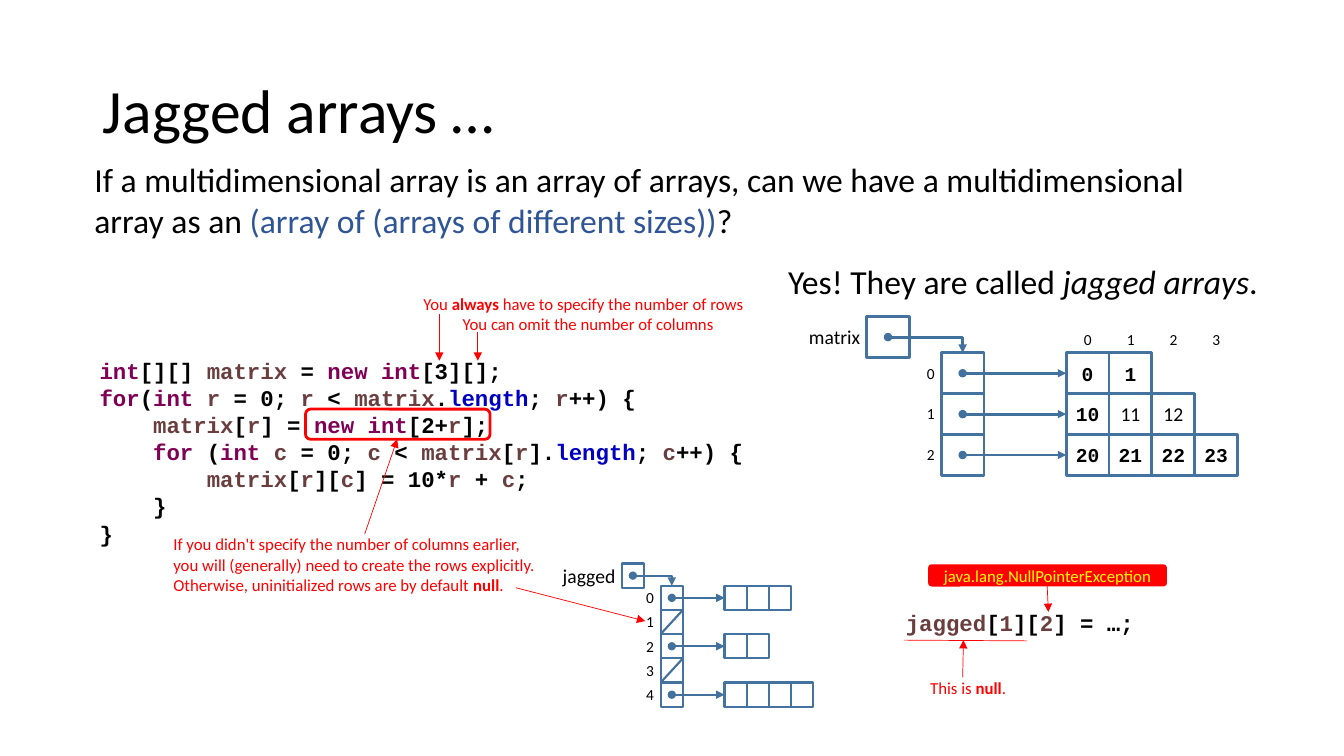
from itertools import groupby

from lxml.etree import SubElement
from pptx import Presentation
from pptx.dml.color import RGBColor
from pptx.enum.shapes import MSO_CONNECTOR, MSO_SHAPE
from pptx.enum.text import MSO_ANCHOR, PP_ALIGN
from pptx.oxml.ns import qn
from pptx.util import Cm, Pt

BLACK, RED, YELLOW, BLUE = "000000", "FF0000", "FFFF00", "2F5597"
CELL_LINE, ARROW_LINE = "43739E", "41719C"
KEYWORD, VARIABLE, FIELD = "7F0055", "6A3E3E", "0000C0"
SANS, MONO = "Calibri", "Courier New"

# Content: every paragraph is a list of (text, style) spans
TITLE = "Jagged arrays …"
QUESTION = [[
    ("If a multidimensional array is an array of arrays, can we have a "
     "multidimensional array as an ", {}),
    ("(array of (arrays of different sizes))", {"colour": BLUE}),
    ("?", {}),
]]
ANSWER = [[("Yes! They are called ", {}), ("jagged arrays", {"italic": True}), (".", {})]]

WORD_COLOURS = {
    "int": KEYWORD, "new": KEYWORD, "for": KEYWORD, "length": FIELD,
    "matrix": VARIABLE, "jagged": VARIABLE, "r": VARIABLE, "c": VARIABLE,
}
INDEX_COLOURS = {"1": VARIABLE, "2": VARIABLE}
LOOP_CODE = """int[][] matrix = new int[3][];
for(int r = 0; r < matrix.length; r++) {
    matrix[r] = new int[2+r];
    for (int c = 0; c < matrix[r].length; c++) {
        matrix[r][c] = 10*r + c;
    }
}"""
ACCESS_CODE = "jagged[1][2] = …;"

BOLD = {"bold": True}
NOTES = [  # left, top, width, height, paragraphs
    (10.67, 7.39, 8.69, 0.51,
     [[("You ", {}), ("always", BOLD), (" have to specify the number of rows", {})]]),
    (11.66, 7.9, 6.63, 0.51, [[("You can omit the number of columns", {})]]),
    (4.37, 13.46, 9.7, 1.55, [
        [("If you didn't specify the number of columns earlier,", {})],
        [("you will (generally) need to create the rows explicitly.", {})],
        [("Otherwise, uninitialized rows are by default ", {}), ("null", BOLD), (".", {})],
    ]),
    (23.44, 17.07, 2.11, 0.51, [[("This is ", {}), ("null", BOLD), (".", {})]]),
]
NOTE_ARROWS = [
    (12.04, 8.36, 12.04, 9.09), (11.07, 7.9, 11.07, 9.09),
    (9.19, 13.46, 10.01, 11.07), (13, 14.81, 16.26, 15.65),
    (24.26, 17.07, 24.28, 16.13), (26.39, 14.76, 26.42, 15.42),
]
UNDERLINE = (25.88, 16.15, 22.78, 16.13)
EXCEPTION = "java.lang.NullPointerException"

# Array drawings: a row is a list of cell values, None is a null row
ARRAYS = [
    {"name": "matrix", "pointer": (21.84, 7.98), "column": (23.72, 8.89),
     "rows_left": 26.87, "cell": (1.08, 1.03), "weight": 2, "column_indices": 4,
     "rows": [["0", "1"], ["10", "11", "12"], ["20", "21", "22", "23"]]},
    {"name": "jagged", "pointer": (15.67, 14.2), "column": (16.65, 14.76),
     "rows_left": 18.26, "cell": (0.56, 0.61), "weight": 1.5, "column_indices": 0,
     "rows": [[""] * 3, None, [""] * 2, None, [""] * 4]},
]
SANS_VALUES = {"11", "12"}

deck = Presentation()
deck.slide_width, deck.slide_height = Cm(33.87), Cm(19.05)
page = deck.slides.add_slide(deck.slide_layouts[5])


def rgb(colour):
    return RGBColor.from_string(colour)


def write(frame, paragraphs, size, colour=BLACK, font=SANS, bold=False,
          align=PP_ALIGN.LEFT, spacing=None):
    for number, spans in enumerate(paragraphs):
        para = frame.add_paragraph() if number else frame.paragraphs[0]
        para.alignment = align
        if spacing:
            para.line_spacing = spacing
        for text, style in spans:
            span = para.add_run()
            span.text = text
            span.font.name, span.font.size = font, Pt(size)
            span.font.bold = style.get("bold", bold)
            span.font.italic = style.get("italic", False)
            span.font.color.rgb = rgb(style.get("colour", colour))


def clear_margins(frame):
    frame.margin_left = frame.margin_right = frame.margin_top = frame.margin_bottom = 0


def add_text(left, top, width, height, paragraphs, size, margins=False, **style):
    box = page.shapes.add_textbox(Cm(left), Cm(top), Cm(width), Cm(height))
    box.text_frame.word_wrap = True
    if not margins:
        clear_margins(box.text_frame)
    write(box.text_frame, paragraphs, size, **style)


def add_box(left, top, width, height, line=None, weight=2, fill=None,
            kind=MSO_SHAPE.RECTANGLE):
    box = page.shapes.add_shape(kind, Cm(left), Cm(top), Cm(width), Cm(height))
    box.shadow.inherit = False
    if fill:
        box.fill.solid()
        box.fill.fore_color.rgb = rgb(fill)
    else:
        box.fill.background()
    if line:
        box.line.color.rgb = rgb(line)
        box.line.width = Pt(weight)
    else:
        box.line.fill.background()
    frame = box.text_frame
    clear_margins(frame)
    frame.word_wrap = False
    frame.vertical_anchor = MSO_ANCHOR.MIDDLE
    return box


def add_line(x1, y1, x2, y2, colour, weight, head=None, tail=None, bent=False):
    kind = MSO_CONNECTOR.ELBOW if bent else MSO_CONNECTOR.STRAIGHT
    line = page.shapes.add_connector(kind, Cm(x1), Cm(y1), Cm(x2), Cm(y2))
    line.line.color.rgb = rgb(colour)
    line.line.width = Pt(weight)
    properties = line._element.spPr
    if bent:
        properties.find(qn("a:prstGeom")).set("prst", "bentConnector2")
    for tag, end in (("a:headEnd", head), ("a:tailEnd", tail)):
        if end:
            SubElement(properties.find(qn("a:ln")), qn(tag), type=end)
    SubElement(properties, qn("a:effectLst"))


def colour_code(code, extra={}):
    colours = {**WORD_COLOURS, **extra}
    return [[(word, {"colour": colours.get(word, BLACK)})
             for word in ("".join(part) for _, part in groupby(line, str.isalnum))]
            for line in code.split("\n")]


def add_index(left, top, number):
    add_text(left, top, 0.43, 0.48, [[(str(number), {})]], 11, align=PP_ALIGN.CENTER)


def draw_array(array):
    width, height = array["cell"]
    weight, rows_left = array["weight"], array["rows_left"]
    pointer_left, pointer_top = array["pointer"]
    column_left, column_top = array["column"]
    column_middle = column_left + width / 2
    pointer_middle = pointer_top + height / 2
    reference = {"colour": ARROW_LINE, "weight": weight, "head": "oval", "tail": "triangle"}

    # Name and pointer to the column of rows
    add_text(pointer_left - 2.4, pointer_middle - 0.3, 2.24, 0.61,
             [[(array["name"], {})]], 14, align=PP_ALIGN.RIGHT)
    add_box(pointer_left, pointer_top, width, height, CELL_LINE, weight)
    add_line(pointer_left + width / 2, pointer_middle, column_middle, column_top,
             bent=True, **reference)
    for number in range(array["column_indices"]):
        add_index(rows_left + number * width + 0.33, column_top - 0.56, number)

    # Column cells with the rows they refer to
    for number, values in enumerate(array["rows"]):
        top = column_top + number * height
        middle = top + height / 2
        add_box(column_left, top, width, height, CELL_LINE, weight)
        add_index(column_left - 0.48, middle - 0.24, number)
        if values is None:
            add_line(column_left, top + height, column_left + width, top, ARROW_LINE, weight)
            continue
        for position, value in enumerate(values):
            cell = add_box(rows_left + position * width, top, width, height,
                           CELL_LINE, weight)
            if value:
                plain = value in SANS_VALUES
                write(cell.text_frame, [[(value, {})]], 14, font=SANS if plain else MONO,
                      bold=not plain, align=PP_ALIGN.CENTER)
        add_line(column_middle, middle, rows_left, middle, **reference)


# Title and main text
title = page.shapes.title
title.left, title.top, title.width, title.height = Cm(2.34), Cm(1.02), Cm(29.21), Cm(3.68)
title.text_frame.vertical_anchor = MSO_ANCHOR.MIDDLE
write(title.text_frame, [[(TITLE, {})]], 44, spacing=0.9)
add_text(2.13, 3.89, 29.44, 2.31, QUESTION, 24, margins=True)
add_text(19.61, 6.45, 12.42, 1.27, ANSWER, 24, margins=True)

# Code
code_style = {"margins": True, "font": MONO, "bold": True, "spacing": Pt(19.4)}
add_text(2.26, 8.86, 16.94, 5.05, colour_code(LOOP_CODE), 16, **code_style)
add_text(22.58, 15.21, 6.83, 0.94, colour_code(ACCESS_CODE, INDEX_COLOURS), 16, **code_style)

# Array drawings
for array in ARRAYS:
    draw_array(array)

# Red notes, arrows and marks
for *place, paragraphs in NOTES:
    add_text(*place, paragraphs, 12, colour=RED)
for ends in NOTE_ARROWS:
    add_line(*ends, RED, 0.5, tail="triangle")
add_line(*UNDERLINE, RED, 0.5)
add_box(7.7, 10.31, 4.65, 0.76, RED, kind=MSO_SHAPE.ROUNDED_RECTANGLE)
exception = add_box(23.39, 14.22, 6.02, 0.56, fill=RED, kind=MSO_SHAPE.ROUNDED_RECTANGLE)
write(exception.text_frame, [[(EXCEPTION, {})]], 12, YELLOW, align=PP_ALIGN.CENTER)

deck.save("out.pptx")
